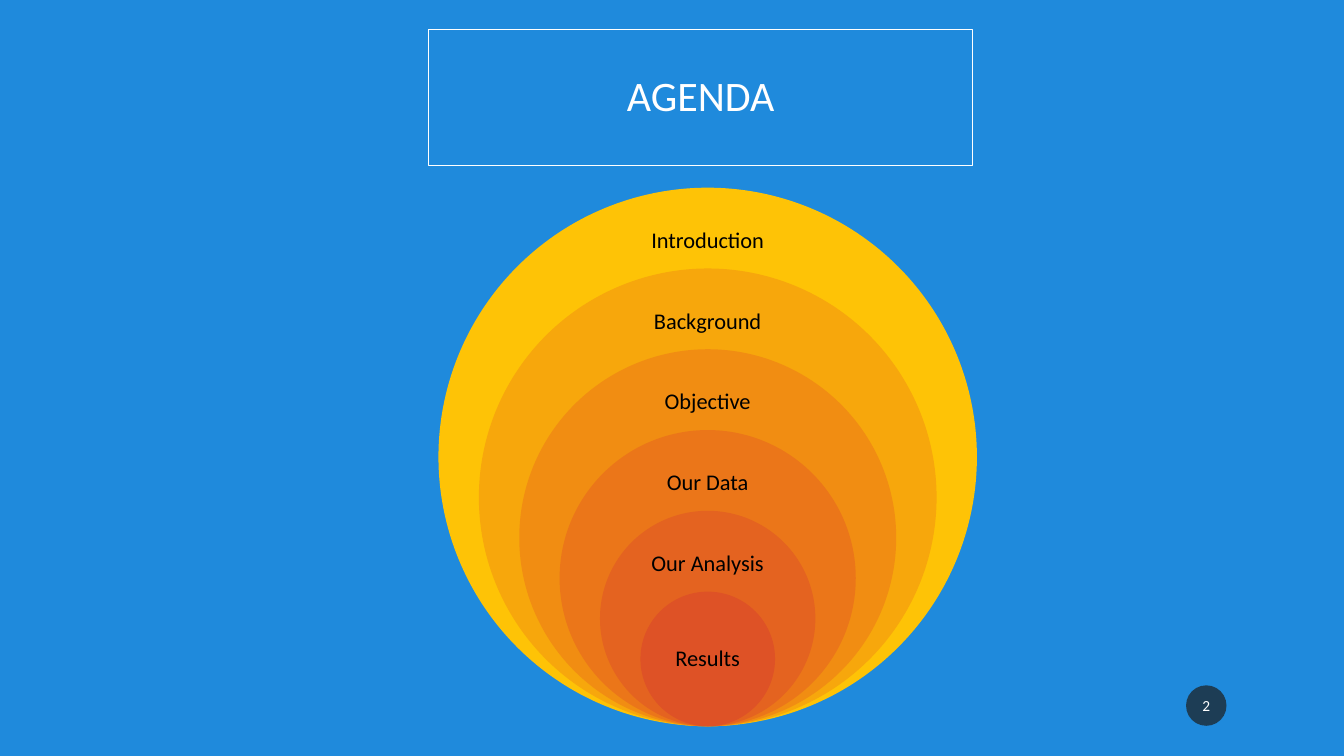
import pptx
import pptx.util
import pptx.dml.color
import pptx.enum.shapes
import pptx.enum.text
import pptx.oxml

Cm = pptx.util.Cm
Pt = pptx.util.Pt
KINDS = pptx.enum.shapes.MSO_SHAPE

RINGS = [
    ("Introduction", "FEC306", 5.08),
    ("Background", "F7A70C", 4.98),
    ("Objective", "F18D12", 4.93),
    ("Our Data", "EB7619", 4.04),
    ("Our Analysis", "E46320", 3.53),
    ("Results", "DE5226", 2.39),
]


def paint(fill, color):
    """Give a fill one solid hex colour."""
    fill.solid()
    fill.fore_color.rgb = pptx.dml.color.RGBColor.from_string(color)


def write(shape, text, size, color, pad, space=0.9):
    """Put one centred line of text in a shape."""
    frame = shape.text_frame
    frame.word_wrap = True
    frame.vertical_anchor = pptx.enum.text.MSO_ANCHOR.MIDDLE
    frame.margin_left = frame.margin_right = Cm(pad[0])
    frame.margin_top = frame.margin_bottom = Cm(pad[1])
    line = frame.paragraphs[0]
    line.text = text
    line.alignment = pptx.enum.text.PP_ALIGN.CENTER
    line.line_spacing = space
    line.font.name = "Calibri"
    line.font.size = Pt(size)
    paint(line.font.fill, color)


def draw(slide, kind, left, top, wide, high, color=None):
    """Add a flat shape without outline, filled if a colour is given."""
    shape = slide.shapes.add_shape(kind, Cm(left), Cm(top), Cm(wide), Cm(high))
    shape.shadow.inherit = False
    shape.line.fill.background()
    if color:
        paint(shape.fill, color)
    else:
        shape.fill.background()
    return shape


def add_title(slide, left, top, wide, high):
    """Place the framed title."""
    box = draw(slide, KINDS.RECTANGLE, left, top, wide, high)
    paint(box.line.fill, "FFFFFF")
    box.line.width = Pt(0.75)
    write(box, "AGENDA", 30, "FFFFFF", (0.76, 0.51))


def add_rings(slide, left, top, size):
    """Nest the agenda circles so that all touch at the bottom."""
    mid, base = left + size / 2, top + size
    step = 0.15 * size
    for rank, (name, color, wide) in enumerate(RINGS):
        span = size - rank * step
        head = base - span
        draw(slide, KINDS.OVAL, mid - span / 2, head, span, span, color)
        last = rank == len(RINGS) - 1
        high = span / 2 if last else step * 0.66
        drop = span / 4 if last else step * 0.33
        label = slide.shapes.add_textbox(
            Cm(mid - wide / 2), Cm(head + drop), Cm(wide), Cm(high))
        write(label, name, 16, "000000", (0.3, 0.3))


def add_number(slide, left, top, size):
    """Place the slide number on a translucent disc."""
    disc = draw(slide, KINDS.OVAL, left, top, size, size, "1D1D1D")
    tint = disc.fill._xPr.find(".//" + pptx.oxml.ns.qn("a:srgbClr"))
    alpha = tint.makeelement(pptx.oxml.ns.qn("a:alpha"), {"val": "70000"})
    tint.append(alpha)
    write(disc, "2", 11, "FFFFFF", (0.05, 0.13), 1.0)


def main():
    """Build and save the agenda slide."""
    deck = pptx.Presentation()
    deck.slide_width, deck.slide_height = Cm(33.87), Cm(19.05)
    slide = deck.slides.add_slide(deck.slide_layouts[6])
    paint(slide.background.fill, "1F8ADC")
    add_title(slide, 10.8, 0.75, 13.72, 3.43)
    add_rings(slide, 11.05, 4.73, 13.57)
    add_number(slide, 29.89, 17.27, 1.02)
    deck.save("out.pptx")


if __name__ == "__main__":
    main()
